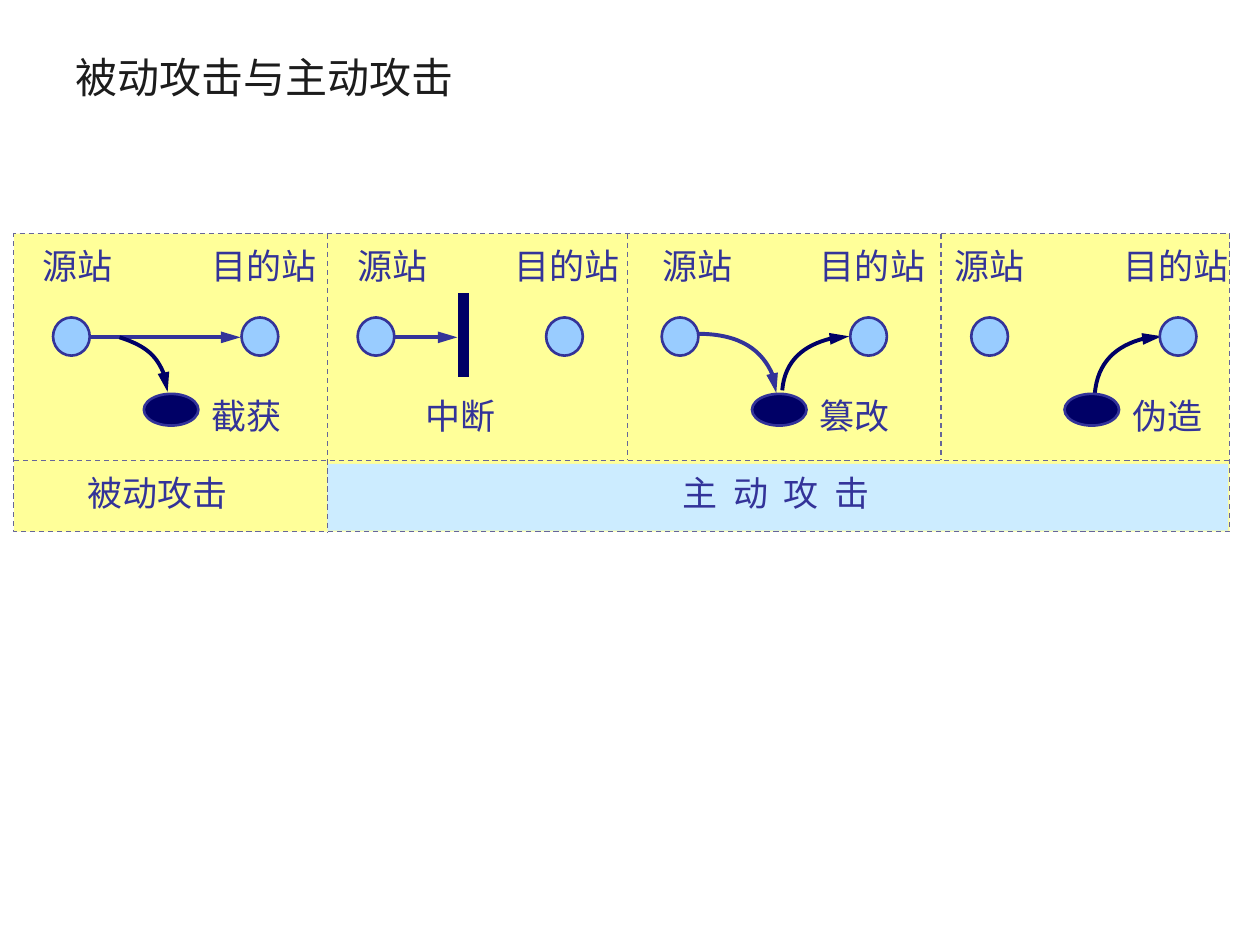
from dataclasses import dataclass
from typing import Optional

from lxml.etree import SubElement
from pptx import Presentation
from pptx.dml.color import RGBColor
from pptx.enum.dml import MSO_LINE
from pptx.enum.shapes import MSO_CONNECTOR, MSO_SHAPE
from pptx.enum.text import MSO_ANCHOR, MSO_AUTO_SIZE, PP_ALIGN
from pptx.oxml.ns import qn
from pptx.util import Cm, Pt

INK = RGBColor(0x1C, 0x1C, 0x1C)
INDIGO = RGBColor(0x33, 0x33, 0x99)
NAVY = RGBColor(0x00, 0x00, 0x66)
SLATE = RGBColor(0x66, 0x66, 0x99)
YELLOW = RGBColor(0xFF, 0xFF, 0x99)
PALE_BLUE = RGBColor(0xCC, 0xEC, 0xFF)
STATION_BLUE = RGBColor(0x99, 0xCC, 0xFF)

# Frame grid, in cm
LEFT, TOP, RIGHT, BOTTOM = 0.28, 4.71, 24.79, 10.72
ROW_Y = 9.28
COLUMN_X = (6.6, 12.65, 18.97)
STATION_Y, STATION_W, STATION_H = 6.4, 0.74, 0.77
STATION_GAP = 3.8
LINK_Y = 6.8


@dataclass
class Panel:
    station_x: float
    source_label_x: float
    target_label_x: float
    outcome: str
    outcome_x: float
    attacker_x: Optional[float] = None


@dataclass
class Curve:
    points: list[tuple[float, float]]  # start, two control points, end
    color: RGBColor


PANELS = [
    Panel(1.07, 0.61, 4.01, "截获", 4.01, 2.9),
    Panel(7.21, 6.96, 10.13, "中断", 8.33),
    Panel(13.34, 13.11, 16.28, "篡改", 16.28, 15.16),
    Panel(19.58, 19.0, 22.4, "伪造", 22.58, 21.46),
]

CURVES = [
    Curve([(2.41, 6.8), (3.0, 6.99), (3.38, 7.42), (3.38, 7.9)], NAVY),
    Curve([(14.07, 6.73), (14.94, 6.73), (15.65, 7.26), (15.65, 7.92)], INDIGO),
    Curve([(15.77, 7.87), (15.82, 7.26), (16.41, 6.78), (17.12, 6.78)], NAVY),
    Curve([(22.07, 7.95), (22.12, 7.29), (22.71, 6.78), (23.42, 6.78)], NAVY),
]


def add_block(s, kind, x: float, y: float, w: float, h: float, fill: RGBColor,
              line: Optional[RGBColor] = None, width: float = 1.5):
    sp = s.shapes.add_shape(kind, Cm(x), Cm(y), Cm(w), Cm(h))
    sp.shadow.inherit = False
    sp.fill.solid()
    sp.fill.fore_color.rgb = fill
    if line is None:
        sp.line.fill.background()
    else:
        sp.line.color.rgb = line
        sp.line.width = Pt(width)
    return sp


def add_arrowhead(sp) -> None:
    SubElement(sp.line._get_or_add_ln(), qn("a:tailEnd"),
               type="triangle", w="med", len="lg")


def add_line(s, x1: float, y1: float, x2: float, y2: float,
             color: RGBColor, width: float):
    cx = s.shapes.add_connector(MSO_CONNECTOR.STRAIGHT, Cm(x1), Cm(y1), Cm(x2), Cm(y2))
    cx.line.color.rgb = color
    cx.line.width = Pt(width)
    SubElement(cx._element.spPr, qn("a:effectLst"))
    return cx


def add_divider(s, x1: float, y1: float, x2: float, y2: float) -> None:
    add_line(s, x1, y1, x2, y2, SLATE, 0.75).line.dash_style = MSO_LINE.DASH


def add_curve(s, curve: Curve) -> None:
    start, *rest = [(Cm(x), Cm(y)) for x, y in curve.points]
    builder = s.shapes.build_freeform(*start)
    builder.add_line_segments(rest, close=False)
    sp = builder.convert_to_shape()
    # Turn the three segments into one Bézier segment
    path = sp._element.find(".//" + qn("a:path"))
    bezier = SubElement(path, qn("a:cubicBezTo"))
    for segment in path.findall(qn("a:lnTo")):
        bezier.append(segment[0])
        path.remove(segment)
    sp.shadow.inherit = False
    sp.fill.background()
    sp.line.color.rgb = curve.color
    sp.line.width = Pt(2.25)
    add_arrowhead(sp)


def add_label(s, text: str, x: float, y: float, w: float = 1.95):
    tf = s.shapes.add_textbox(Cm(x), Cm(y), Cm(w), Cm(1.12)).text_frame
    tf.word_wrap = False
    tf.auto_size = MSO_AUTO_SIZE.SHAPE_TO_FIT_TEXT
    p = tf.paragraphs[0]
    p.text = text
    p.font.name = "Arial"
    p.font.size = Pt(20)
    p.font.color.rgb = INDIGO
    return p


def add_panel(s, panel: Panel) -> None:
    for x in (panel.station_x, panel.station_x + STATION_GAP):
        add_block(s, MSO_SHAPE.OVAL, x, STATION_Y, STATION_W, STATION_H,
                  STATION_BLUE, INDIGO)
    if panel.attacker_x is not None:
        add_block(s, MSO_SHAPE.OVAL, panel.attacker_x, 7.94, 1.1, 0.64, NAVY, INDIGO)
    add_label(s, "源站", panel.source_label_x, 4.8)
    add_label(s, "目的站", panel.target_label_x, 4.8, 2.66)
    add_label(s, panel.outcome, panel.outcome_x, 7.82)


def main() -> None:
    prs = Presentation()
    prs.slide_width, prs.slide_height = Cm(25.4), Cm(19.05)
    s = prs.slides.add_slide(prs.slide_layouts[5])

    # Title
    title = s.shapes.title
    title.left, title.top, title.width, title.height = Cm(1.27), Cm(0.78), Cm(22.86), Cm(1.55)
    tf = title.text_frame
    tf.auto_size = MSO_AUTO_SIZE.NONE
    tf.vertical_anchor = MSO_ANCHOR.MIDDLE
    p = tf.paragraphs[0]
    p.text = "被动攻击与主动攻击"
    p.alignment = PP_ALIGN.LEFT
    p.font.name = "Noto Sans CJK SC"
    p.font.size = Pt(24)
    p.font.color.rgb = INK

    # Frame and active-attack band
    frame = add_block(s, MSO_SHAPE.RECTANGLE, LEFT, TOP, RIGHT - LEFT, BOTTOM - TOP,
                      YELLOW, SLATE, 0.75)
    frame.line.dash_style = MSO_LINE.DASH
    add_block(s, MSO_SHAPE.RECTANGLE, COLUMN_X[0], 9.35, RIGHT - COLUMN_X[0] - 0.03, 1.35,
              PALE_BLUE)

    # Straight links and the barrier
    for panel, end_x in zip(PANELS, (4.85, 9.22)):
        link = add_line(s, panel.station_x + STATION_W, LINK_Y, end_x, LINK_Y, INDIGO, 2.25)
        add_arrowhead(link)
    add_line(s, 9.34, 5.91, 9.34, 7.6, NAVY, 6)

    # Attack panels
    for curve in CURVES:
        add_curve(s, curve)
    for panel in PANELS:
        add_panel(s, panel)

    # Category labels
    add_label(s, "被动攻击", 1.52, 9.38, 3.37)
    active = add_label(s, "主 动 攻 击", 13.51, 9.38, 4.29)
    active.runs[0].font._element.set("spc", "220")

    # Dividers
    add_divider(s, LEFT, ROW_Y, RIGHT, ROW_Y)
    for x, bottom in zip(COLUMN_X, (BOTTOM, ROW_Y, ROW_Y)):
        add_divider(s, x, TOP, x, bottom)

    prs.save("out.pptx")


if __name__ == "__main__":
    main()
